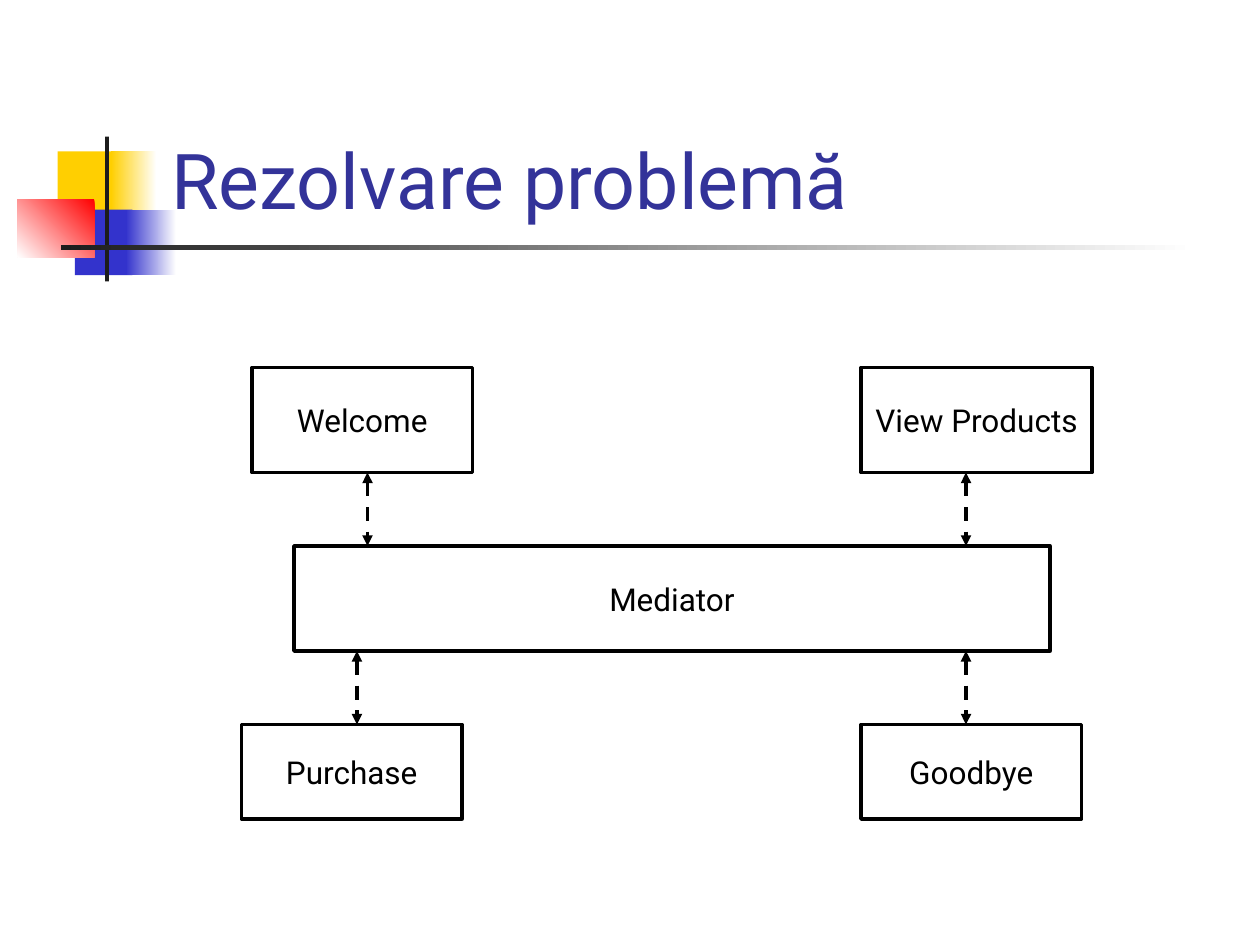
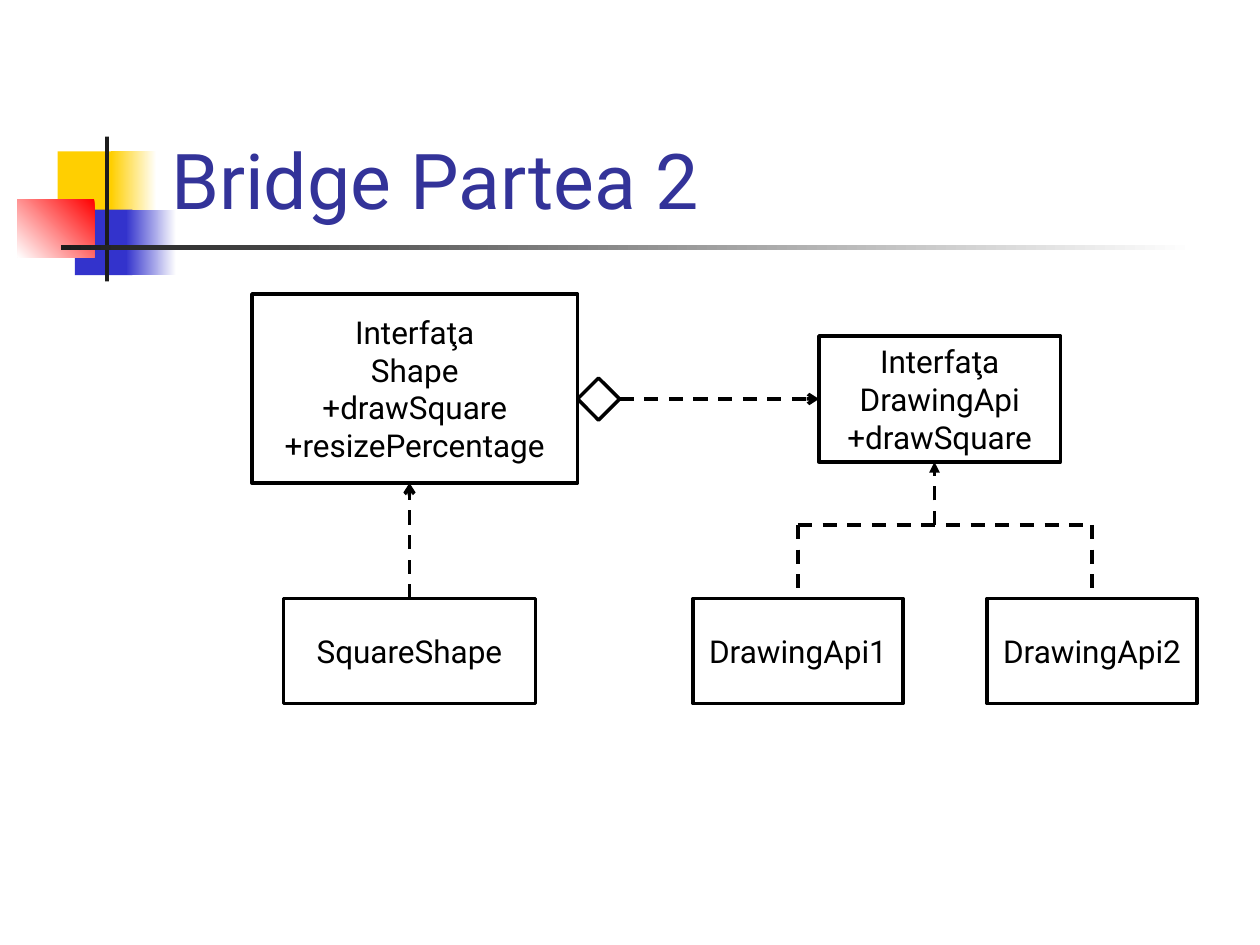
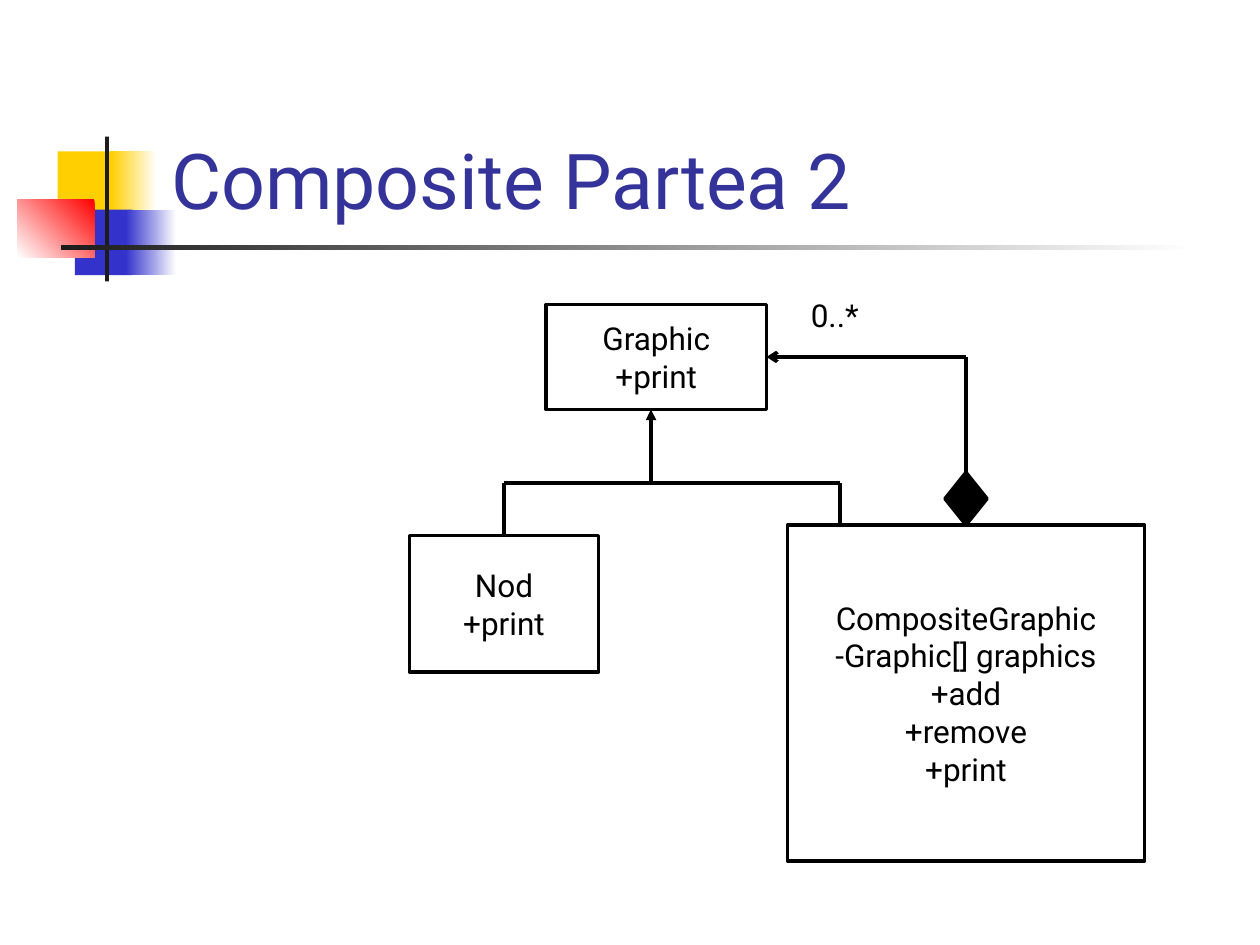
from dataclasses import dataclass

from lxml import etree
from pptx import Presentation
from pptx.dml.color import RGBColor
from pptx.enum.dml import MSO_LINE
from pptx.enum.shapes import MSO_CONNECTOR, MSO_SHAPE
from pptx.enum.text import MSO_ANCHOR, PP_ALIGN
from pptx.oxml.ns import qn
from pptx.shapes.autoshape import Shape
from pptx.slide import Slide
from pptx.text.text import TextFrame
from pptx.util import Pt

RECTANGLE, DIAMOND = MSO_SHAPE.RECTANGLE, MSO_SHAPE.DIAMOND
STRAIGHT = MSO_CONNECTOR.STRAIGHT
DASH = MSO_LINE.DASH
MIDDLE, BOTTOM = MSO_ANCHOR.MIDDLE, MSO_ANCHOR.BOTTOM
LEFT, CENTER = PP_ALIGN.LEFT, PP_ALIGN.CENTER

WHITE = RGBColor(0xFF, 0xFF, 0xFF)
BLACK = RGBColor(0x00, 0x00, 0x00)
CHARCOAL = RGBColor(0x1C, 0x1C, 0x1C)
YELLOW = RGBColor(0xFF, 0xCF, 0x01)
BLUE = RGBColor(0x33, 0x33, 0xCC)
RED = RGBColor(0xFF, 0x00, 0x00)
TITLE_BLUE = RGBColor(0x33, 0x33, 0x99)

FONT = "Roboto"
TITLE_SIZE, BODY_SIZE = 44, 18
LINE_WIDTH = Pt(2)
BLANK_LAYOUT = 6

Point = tuple[float, float]


@dataclass(frozen=True)
class Area:
    left: float
    top: float
    width: float
    height: float

    def lengths(self) -> tuple[Pt, Pt, Pt, Pt]:
        return Pt(self.left), Pt(self.top), Pt(self.width), Pt(self.height)


@dataclass(frozen=True)
class Accent:
    """Title ornament: one colour, or a gradient when fade_to is given."""
    area: Area
    color: RGBColor
    fade_to: RGBColor | None = None
    angle: float = 180


@dataclass(frozen=True)
class Box:
    area: Area
    text: str = ""
    kind: MSO_SHAPE = RECTANGLE
    fill: RGBColor | None = None


@dataclass(frozen=True)
class Link:
    start: Point
    end: Point
    dashed: bool = False
    start_arrow: str = ""
    end_arrow: str = ""


@dataclass(frozen=True)
class Label:
    area: Area
    text: str


@dataclass(frozen=True)
class Diagram:
    title: str
    boxes: list[Box]
    links: list[Link]
    labels: tuple[Label, ...] = ()


# Shared title design
TITLE_AREA = Area(90.75, 16.5, 613.5, 115.5)
ACCENTS = [
    Accent(Area(33, 86.5, 34.5, 37.5), YELLOW),
    Accent(Area(63.5, 86.5, 26, 37.5), WHITE, YELLOW),
    Accent(Area(42.75, 119.75, 33, 37.5), BLUE),
    Accent(Area(72, 119.75, 28.75, 37.5), WHITE, BLUE),
    Accent(Area(10, 113.75, 44, 33.25), RED, WHITE, 225),
    Accent(Area(60, 78, 2.25, 82.75), CHARCOAL),
    Accent(Area(34.75, 140.25, 648, 2.5), WHITE, CHARCOAL),
]

MEDIATOR = Diagram(
    "Rezolvare problemă",
    [
        Box(Area(144, 210, 126, 60), "Welcome"),
        Box(Area(492, 210, 132, 60), "View Products"),
        Box(Area(138, 414, 126, 54), "Purchase"),
        Box(Area(492, 414, 126, 54), "Goodbye"),
        Box(Area(168, 312, 432, 60), "Mediator"),
    ],
    [
        Link((x, top), (x, top + 42), True, "triangle", "triangle")
        for x, top in [(210, 270), (552, 270), (552, 372), (204, 372)]
    ],
)

BRIDGE = Diagram(
    "Bridge Partea 2",
    [
        Box(Area(144, 168, 186, 108), "Interfaţa\nShape\n+drawSquare\n+resizePercentage"),
        Box(Area(330, 216, 24, 24), kind=DIAMOND),
        Box(Area(468, 192, 138, 72), "Interfaţa\nDrawingApi\n+drawSquare"),
        Box(Area(162, 342, 144, 60), "SquareShape"),
        Box(Area(396, 342, 120, 60), "DrawingApi1"),
        Box(Area(564, 342, 120, 60), "DrawingApi2"),
    ],
    [
        Link((456, 300), (624, 300), True),
        Link((456, 300), (456, 342), True),
        Link((624, 300), (624, 342), True),
        Link((534, 300), (534, 264), True, end_arrow="triangle"),
        Link((354, 228), (468, 228), True, end_arrow="arrow"),
        Link((234, 342), (234, 276), True, end_arrow="arrow"),
    ],
)

COMPOSITE = Diagram(
    "Composite Partea 2",
    [
        Box(Area(312, 174, 126, 60), "Graphic\n+print"),
        Box(Area(450, 300, 204, 192),
            "CompositeGraphic\n-Graphic[] graphics\n+add\n+remove\n+print"),
        Box(Area(540, 270, 24, 30), kind=DIAMOND, fill=BLACK),
        Box(Area(234, 306, 108, 78), "Nod\n+print"),
    ],
    [
        Link((552, 204), (438, 204), end_arrow="arrow"),
        Link((552, 270), (552, 204)),
        Link((372, 276), (372, 234), end_arrow="triangle"),
        Link((288, 276), (480, 276)),
        Link((480, 276), (480, 300)),
        Link((288, 276), (288, 306)),
    ],
    (Label(Area(456, 168, 42, 24), "0..*"),),
)


def write_text(text_frame: TextFrame, text: str, size: float = BODY_SIZE,
               color: RGBColor = BLACK, alignment: PP_ALIGN = CENTER,
               anchor: MSO_ANCHOR = MIDDLE, wrap: bool = False) -> None:
    text_frame.text = text
    text_frame.word_wrap = wrap
    text_frame.vertical_anchor = anchor
    for paragraph in text_frame.paragraphs:
        paragraph.alignment = alignment
        for run in paragraph.runs:
            run.font.name = FONT
            run.font.size = Pt(size)
            run.font.color.rgb = color


def add_accent(slide: Slide, accent: Accent) -> None:
    shape = slide.shapes.add_shape(RECTANGLE, *accent.area.lengths())
    shape.shadow.inherit = False
    shape.line.fill.background()
    if accent.fade_to is None:
        shape.fill.solid()
        shape.fill.fore_color.rgb = accent.color
        return
    shape.fill.gradient()
    shape.fill.gradient_angle = accent.angle
    for stop, color in zip(shape.fill.gradient_stops, (accent.color, accent.fade_to)):
        stop.color.rgb = color


def add_title(slide: Slide, title: str) -> None:
    for accent in ACCENTS:
        add_accent(slide, accent)
    text_box = slide.shapes.add_textbox(*TITLE_AREA.lengths())
    write_text(text_box.text_frame, title, TITLE_SIZE, TITLE_BLUE, LEFT, BOTTOM, True)


def add_box(slide: Slide, box: Box) -> Shape:
    shape = slide.shapes.add_shape(box.kind, *box.area.lengths())
    shape.shadow.inherit = False
    shape.line.color.rgb = BLACK
    shape.line.width = LINE_WIDTH
    if box.fill is None:
        shape.fill.background()
    else:
        shape.fill.solid()
        shape.fill.fore_color.rgb = box.fill
    if box.text:
        write_text(shape.text_frame, box.text)
    return shape


def find_site(point: Point, boxes: list[Box]) -> tuple[int, int] | None:
    """Return the box index and side whose middle lies at the point."""
    for index, box in enumerate(boxes):
        area = box.area
        middle_x, middle_y = area.left + area.width / 2, area.top + area.height / 2
        sides = [
            (middle_x, area.top),
            (area.left, middle_y),
            (middle_x, area.top + area.height),
            (area.left + area.width, middle_y),
        ]
        if point in sides:
            return index, sides.index(point)
    return None


def add_link(slide: Slide, link: Link, boxes: list[Box], shapes: list[Shape]) -> None:
    ends = [Pt(length) for length in (*link.start, *link.end)]
    connector = slide.shapes.add_connector(STRAIGHT, *ends)
    connector.line.color.rgb = BLACK
    connector.line.width = LINE_WIDTH
    if link.dashed:
        connector.line.dash_style = DASH
    properties = connector.line._get_or_add_ln()
    for tag, arrow in (("a:headEnd", link.start_arrow), ("a:tailEnd", link.end_arrow)):
        if arrow:
            etree.SubElement(properties, qn(tag), type=arrow)
    etree.SubElement(connector._element.spPr, qn("a:effectLst"))
    for point, connect in ((link.start, connector.begin_connect),
                           (link.end, connector.end_connect)):
        site = find_site(point, boxes)
        if site:
            connect(shapes[site[0]], site[1])


def add_diagram(presentation: Presentation, diagram: Diagram) -> None:
    slide = presentation.slides.add_slide(presentation.slide_layouts[BLANK_LAYOUT])
    add_title(slide, diagram.title)
    shapes = [add_box(slide, box) for box in diagram.boxes]
    for link in diagram.links:
        add_link(slide, link, diagram.boxes, shapes)
    for label in diagram.labels:
        text_box = slide.shapes.add_textbox(*label.area.lengths())
        write_text(text_box.text_frame, label.text)


def main() -> None:
    presentation = Presentation()
    presentation.slide_width, presentation.slide_height = Pt(720), Pt(540)
    for diagram in (MEDIATOR, BRIDGE, COMPOSITE):
        add_diagram(presentation, diagram)
    presentation.save("out.pptx")


if __name__ == "__main__":
    main()
